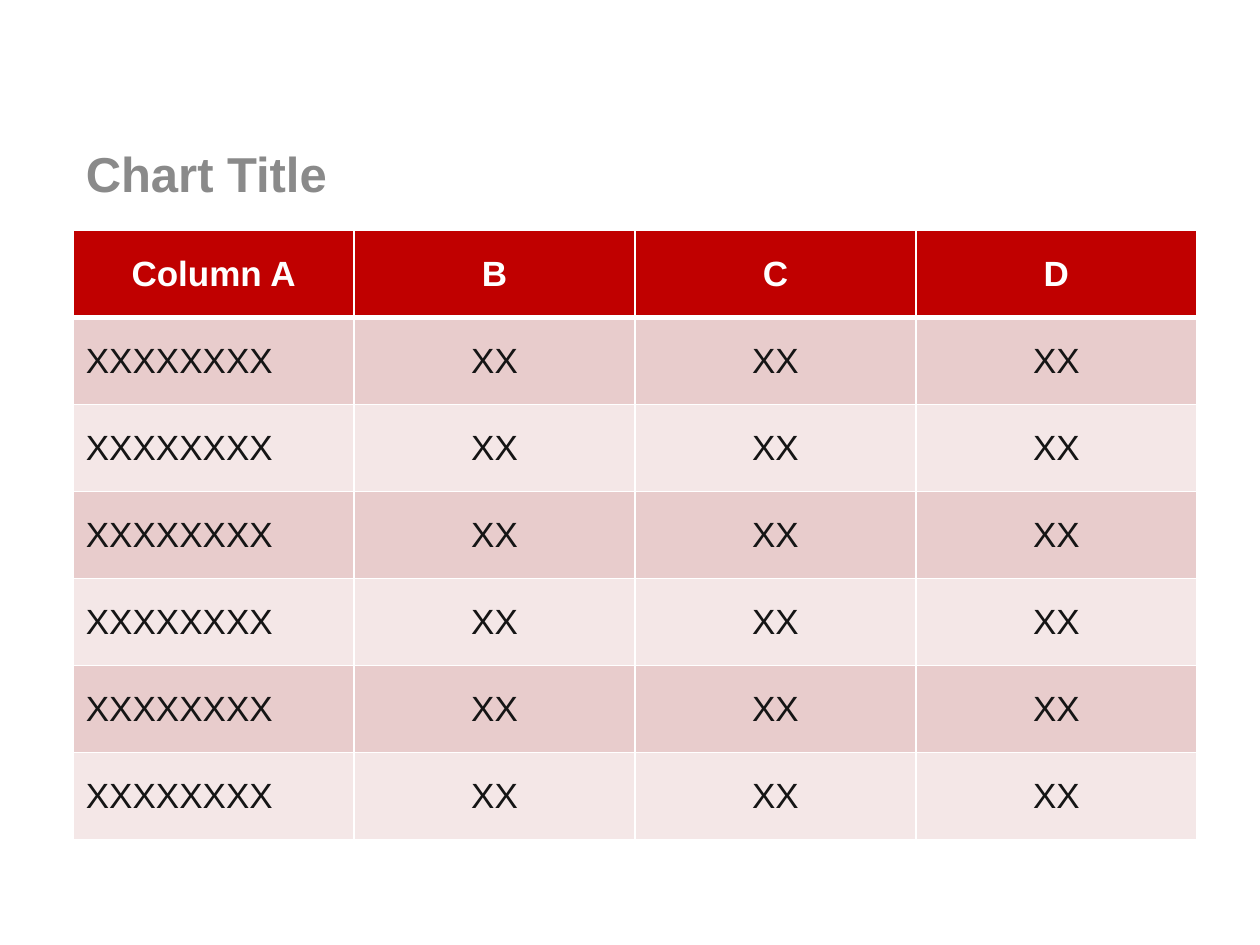
from dataclasses import dataclass

from lxml import etree
from pptx import Presentation
from pptx.dml.color import RGBColor
from pptx.enum.text import MSO_ANCHOR, PP_ALIGN
from pptx.oxml.ns import qn
from pptx.util import Pt

LEFT, CENTER = PP_ALIGN.LEFT, PP_ALIGN.CENTER
MIDDLE = MSO_ANCHOR.MIDDLE
TITLE_ONLY = 5


@dataclass(frozen=True)
class Theme:
    font: str = "Arial"
    title_size: float = 28
    table_size: float = 20
    title: str = "8A8A8A"
    header_fill: str = "C00000"
    header_text: str = "FFFFFF"
    body_text: str = "151515"
    bands: tuple = ("E8CCCC", "F4E7E7")
    border: str = "FFFFFF"


THEME = Theme()
MARGIN, CONTENT_WIDTH = 41.8, 642.2
TABLE_TOP, ROW_HEIGHT = 131.8, 49.7
HEADERS = ["Column A", "B", "C", "D"]
BODY_ROWS = [["XXXXXXXX", "XX", "XX", "XX"]] * 6


def format_paragraph(paragraph, size, color, bold, alignment):
    paragraph.alignment = alignment
    font = paragraph.font
    font.name, font.size, font.bold = THEME.font, Pt(size), bold
    font.color.rgb = RGBColor.from_string(color)


def add_title(slide, text):
    title = slide.shapes.title
    title.left, title.top = Pt(MARGIN), Pt(77.8)
    title.width, title.height = Pt(CONTENT_WIDTH), Pt(41.8)
    frame = title.text_frame
    frame.text = text
    frame.vertical_anchor = MIDDLE
    format_paragraph(frame.paragraphs[0], THEME.title_size, THEME.title, True, LEFT)


def set_borders(cell, top, bottom):
    """Draw all four borders; must run before the cell fill is set."""
    properties = cell._tc.get_or_add_tcPr()
    for side, width in {"L": 1, "R": 1, "T": top, "B": bottom}.items():
        line = etree.SubElement(properties, qn(f"a:ln{side}"), w=str(Pt(width)))
        fill = etree.SubElement(line, qn("a:solidFill"))
        etree.SubElement(fill, qn("a:srgbClr"), val=THEME.border)


def format_cell(cell, text, row, column):
    is_header = row == 0
    set_borders(cell, top=3 if row == 1 else 1, bottom=3 if is_header else 1)
    cell.fill.solid()
    fill = THEME.header_fill if is_header else THEME.bands[(row - 1) % 2]
    cell.fill.fore_color.rgb = RGBColor.from_string(fill)
    cell.vertical_anchor = MIDDLE
    cell.text = text
    color = THEME.header_text if is_header else THEME.body_text
    alignment = CENTER if is_header or column > 0 else LEFT
    format_paragraph(cell.text_frame.paragraphs[0], THEME.table_size, color,
                     is_header, alignment)


def add_data_table(slide, rows):
    table = slide.shapes.add_table(
        len(rows), len(rows[0]), Pt(MARGIN), Pt(TABLE_TOP),
        Pt(CONTENT_WIDTH), Pt(ROW_HEIGHT * len(rows))).table
    for row, texts in enumerate(rows):
        for column, text in enumerate(texts):
            format_cell(table.cell(row, column), text, row, column)


def main():
    presentation = Presentation()
    presentation.slide_width, presentation.slide_height = Pt(720), Pt(540)
    slide = presentation.slides.add_slide(presentation.slide_layouts[TITLE_ONLY])
    add_title(slide, "Chart Title")
    add_data_table(slide, [HEADERS] + BODY_ROWS)
    presentation.save("out.pptx")


if __name__ == "__main__":
    main()
